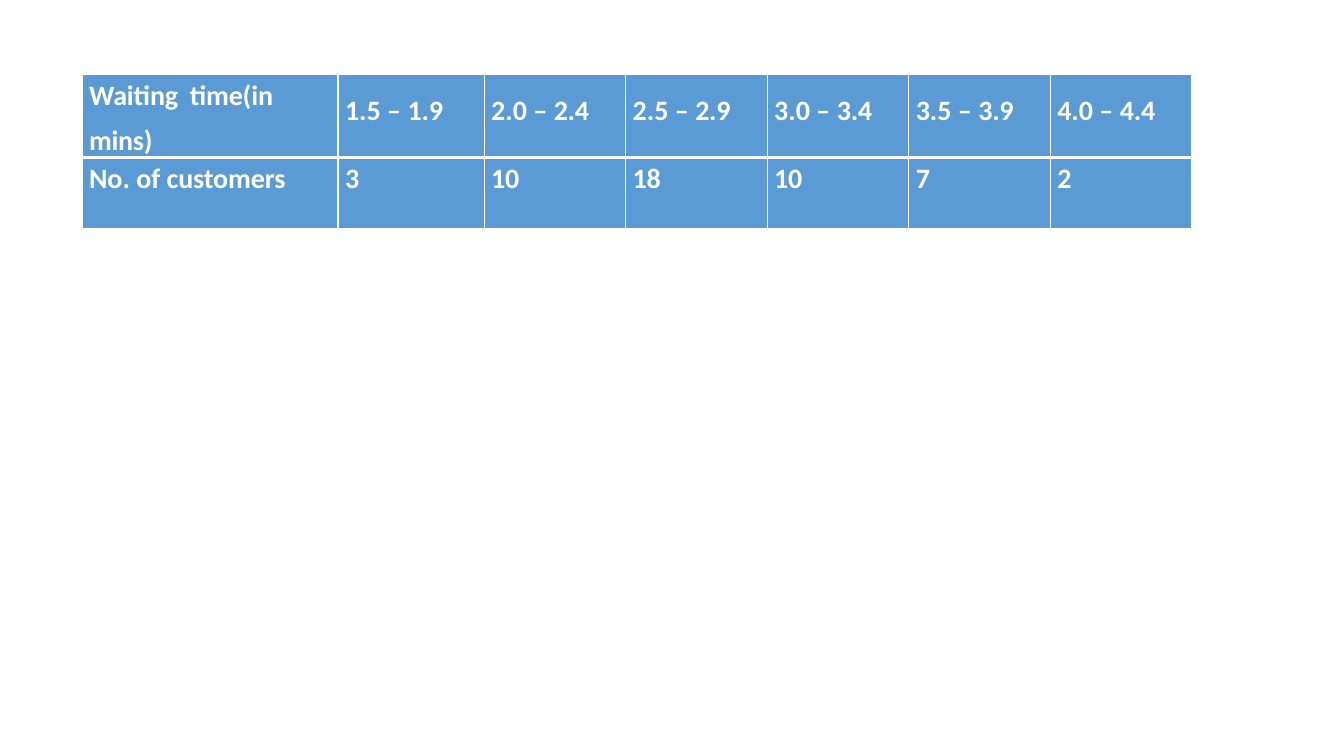
from lxml import etree
from pptx import Presentation
from pptx.dml.color import RGBColor
from pptx.oxml.ns import qn
from pptx.util import Pt

WHITE = "FFFFFF"
BLUE = "5B9BD5"
HEADER_LEADING = 19
LABEL_LEADING = 13.9

COLUMN_WIDTHS = [182.9, 104.4] + [101.1] * 5
ROW_HEIGHTS = [52, 51]
WAITING_TIMES = [("1.5", "1.9"), ("2.0", "2.4"), ("2.5", "2.9"),
                 ("3.0", "3.4"), ("3.5", "3.9"), ("4.0", "4.4")]
CUSTOMERS = [3, 10, 18, 10, 7, 2]


def color(value):
    return RGBColor.from_string(value)


class SlideBuilder:
    font = "Calibri"
    size = 20
    indent = 5

    def __init__(self, page):
        self.page = page

    def table(self, left, top, widths, heights):
        frame = self.page.shapes.add_table(
            len(heights), len(widths), Pt(left), Pt(top),
            Pt(sum(widths)), Pt(sum(heights)))
        table = frame.table
        table.first_row = table.horz_banding = False
        for column, width in zip(table.columns, widths):
            column.width = Pt(width)
        for row, height in zip(table.rows, heights):
            row.height = Pt(height)
        return table

    def cell(self, cell, lines, leading, top_line, bottom_line):
        """Fill a cell; each line is a list of (text, letter spacing) pairs."""
        cell.margin_left = cell.margin_right = cell.margin_bottom = 0
        cell.margin_top = Pt(leading)
        for index, spans in enumerate(lines):
            frame = cell.text_frame
            para = frame.add_paragraph() if index else frame.paragraphs[0]
            para._p.get_or_add_pPr().set("marL", str(Pt(self.indent)))
            if index:
                para.space_before = Pt(7)
            else:
                para.line_spacing = Pt(leading)
            for text, spacing in spans:
                self.span(para, text, spacing)
        for side, width in (("L", 1), ("R", 1), ("T", top_line), ("B", bottom_line)):
            self.border(cell, side, width)
        cell.fill.solid()
        cell.fill.fore_color.rgb = color(BLUE)

    def span(self, para, text, spacing):
        span = para.add_run()
        span.text = text
        span.font.name = self.font
        span.font.size = Pt(self.size)
        span.font.bold = True
        span.font.color.rgb = color(WHITE)
        span.font._element.set("spc", str(round(spacing * 100)))

    def border(self, cell, side, width):
        properties = cell._tc.get_or_add_tcPr()
        line = etree.SubElement(properties, qn(f"a:ln{side}"), w=str(Pt(width)))
        fill = etree.SubElement(line, qn("a:solidFill"))
        etree.SubElement(fill, qn("a:srgbClr"), val=WHITE)


def main():
    deck = Presentation()
    deck.slide_width, deck.slide_height = Pt(960), Pt(540)
    builder = SlideBuilder(deck.slides.add_slide(deck.slide_layouts[6]))
    table = builder.table(58.6, 53.3, COLUMN_WIDTHS, ROW_HEIGHTS)

    builder.cell(table.cell(0, 0), [[("Waiting\ttime(in", -0.1)], [("mins)", -0.2)]],
                 LABEL_LEADING, 1, 3)
    builder.cell(table.cell(1, 0), [[("No. of ", 0), ("customers", -0.1)]],
                 LABEL_LEADING, 3, 1)
    for column, ((start, end), count) in enumerate(zip(WAITING_TIMES, CUSTOMERS), 1):
        builder.cell(table.cell(0, column), [[(f"{start} – ", 0), (end, -0.2)]],
                     HEADER_LEADING, 1, 3)
        builder.cell(table.cell(1, column), [[(str(count), -0.5 if count < 10 else -0.2)]],
                     LABEL_LEADING, 3, 1)
    deck.save("out.pptx")


if __name__ == "__main__":
    main()
